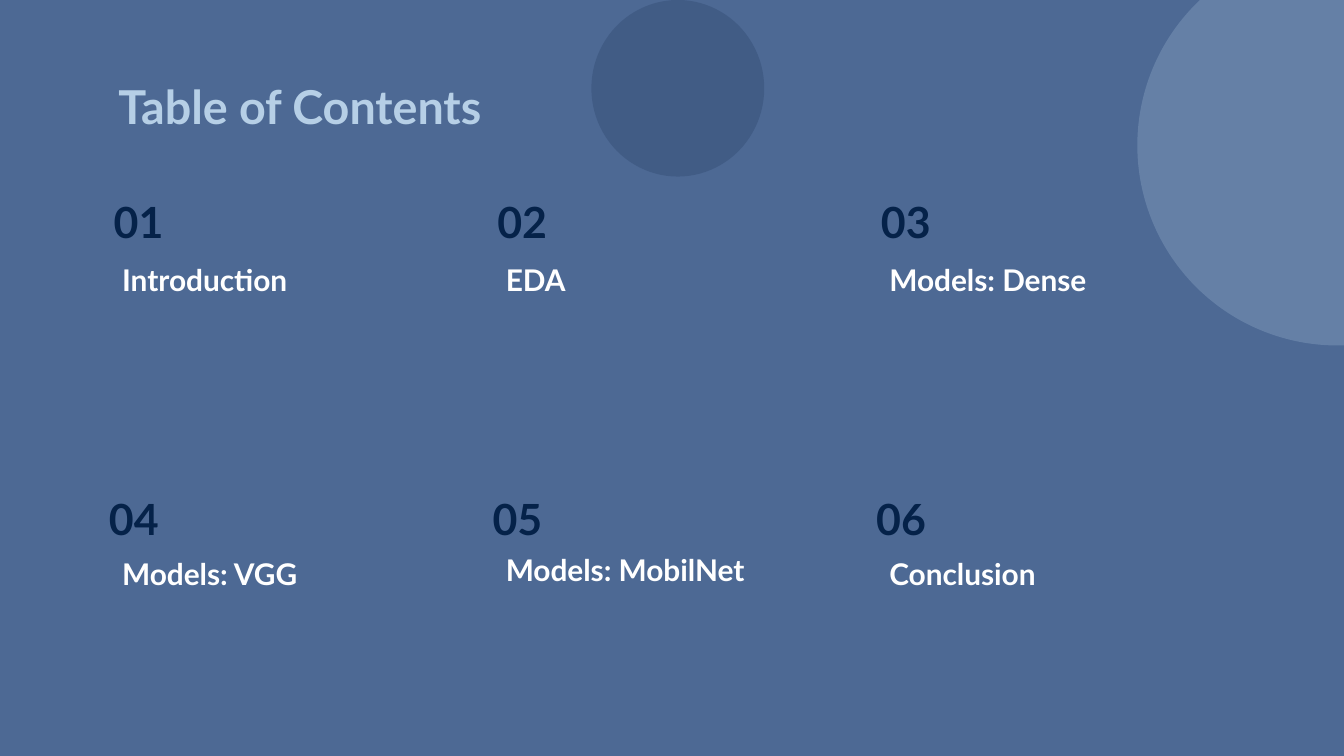
from lxml.etree import SubElement
from pptx import Presentation
from pptx.dml.color import RGBColor
from pptx.enum.shapes import MSO_SHAPE
from pptx.enum.text import MSO_ANCHOR, MSO_AUTO_SIZE, PP_ALIGN
from pptx.oxml.ns import qn
from pptx.util import Pt

BACK, PALE, NAVY, DARK, WHITE = "4D6994", "B6CFE6", "0B2446", "052249", "FFFFFF"


def color(code):
    return RGBColor.from_string(code)


class Deck:
    font = "Lato"
    inset = 7.2

    def __init__(self, slide):
        self.slide = slide
        fill = slide.background.fill
        fill.solid()
        fill.fore_color.rgb = color(BACK)

    def shape(self, kind, box, code):
        item = self.slide.shapes.add_shape(kind, *map(Pt, box))
        item.shadow.inherit = False
        item.fill.solid()
        item.fill.fore_color.rgb = color(code)
        item.line.fill.background()
        return item

    def circle(self, box, code, alpha):
        item = self.shape(MSO_SHAPE.OVAL, box, code)
        tint = item.element.spPr.find(".//" + qn("a:srgbClr"))
        SubElement(tint, qn("a:alpha"), val=str(alpha * 1000))

    def style(self, item, text, size, code, side=inset, align=PP_ALIGN.LEFT):
        frame = item.text_frame
        frame.text = text
        frame.word_wrap = True
        frame.auto_size = MSO_AUTO_SIZE.NONE
        frame.vertical_anchor = MSO_ANCHOR.MIDDLE
        frame.margin_left = frame.margin_right = Pt(side)
        frame.margin_top = frame.margin_bottom = Pt(self.inset)
        line = frame.paragraphs[0]
        line.alignment = align
        font = line.runs[0].font
        font.name, font.size, font.bold = self.font, Pt(size), True
        font.color.rgb = color(code)

    def title(self, box, text):
        item = self.slide.shapes.title
        item.left, item.top, item.width, item.height = map(Pt, box)
        self.style(item, text, 25, PALE)

    def number(self, box, text, align):
        item = self.shape(MSO_SHAPE.RECTANGLE, box, BACK)
        self.style(item, text, 23, DARK, 0, align)

    def label(self, box, text):
        item = self.slide.shapes.add_textbox(*map(Pt, box))
        self.style(item, text, 16, WHITE)


def main():
    show = Presentation()
    show.slide_width, show.slide_height = Pt(720), Pt(405)
    deck = Deck(show.slides.add_slide(show.slide_layouts[5]))

    # Backdrop circles
    deck.circle((609.3, -29.3, 214.4, 214.4), PALE, 23)
    deck.circle((316.8, 0, 92.6, 94.6), NAVY, 18)

    # Heading
    deck.title((56.2, 42.5, 303.8, 28.8), "Table of Contents")

    # Contents: number top, number alignment, then topics with label tops
    rows = [
        (105.1, PP_ALIGN.CENTER,
         [("Introduction", 136.1), ("EDA", 136.1), ("Models: Dense", 136.1)]),
        (264.2, PP_ALIGN.LEFT,
         [("Models: VGG", 293.8), ("Models: MobilNet", 291.6),
          ("Conclusion", 293.8)]),
    ]
    for row, (top, align, topics) in enumerate(rows):
        for col, (text, low) in enumerate(topics):
            left = 58.4 + 205.5 * col
            deck.number((left, top, 31.8, 27.4), f"{row * 3 + col + 1:02}", align)
            deck.label((left, low, 146.2, 27.4), text)

    show.save("out.pptx")


if __name__ == "__main__":
    main()
